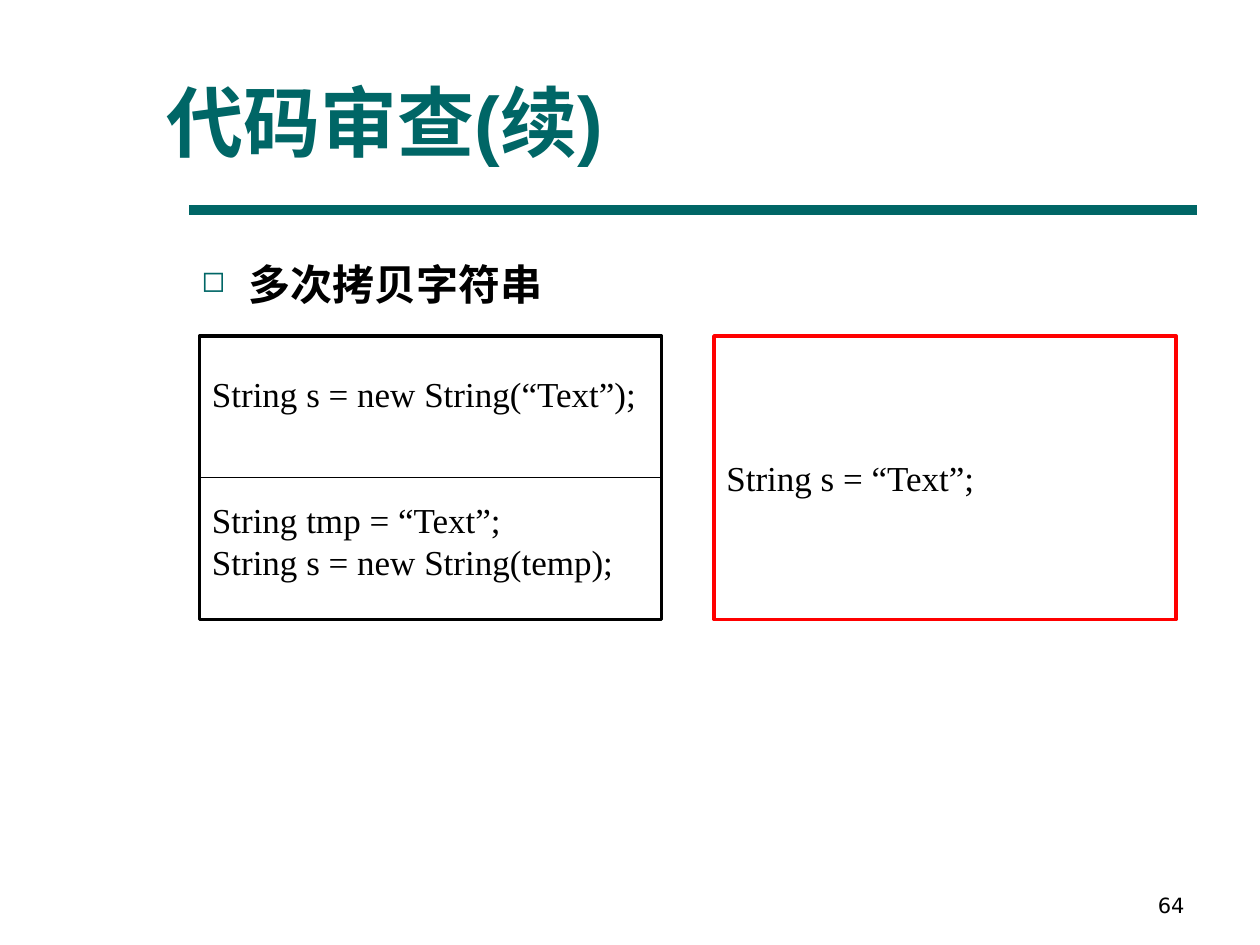
"""Build the code review slide on copying strings."""
from dataclasses import dataclass

from lxml import etree
from pptx import Presentation
from pptx.dml.color import RGBColor
from pptx.enum import shapes, text
from pptx.oxml import ns
from pptx.util import Pt

TEAL, BLACK, WHITE, RED = "006666", "000000", "FFFFFF", "FF0000"
CODE_TOP, CODE_WIDTH, CODE_HEIGHT = 192, 264, 162
CODE_PITCH = 24


@dataclass
class Label:
    left: float
    top: float
    width: float
    height: float
    words: str
    font: str
    size: float
    colour: str = BLACK
    bold: bool = False
    anchor: text.MSO_ANCHOR = text.MSO_ANCHOR.BOTTOM
    align: text.PP_ALIGN = text.PP_ALIGN.LEFT
    bullet: str = ""


@dataclass
class CodeBox:
    left: float
    border: str
    snippets: list[list[str]]


@dataclass
class Rule:
    left: float
    right: float
    y: float
    weight: float
    colour: str


def rgb(colour: str) -> RGBColor:
    return RGBColor.from_string(colour)


def style(para, font: str, size: float, colour: str, bold: bool = False) -> None:
    para.font.name = font
    para.font.size = Pt(size)
    para.font.bold = bold
    para.font.color.rgb = rgb(colour)


def add_bullet(para, symbol: str, colour: str) -> None:
    props = para._p.get_or_add_pPr()
    props.set("marL", str(Pt(27)))
    props.set("indent", str(Pt(-27)))
    tint = etree.SubElement(props, ns.qn("a:buClr"))
    etree.SubElement(tint, ns.qn("a:srgbClr"), val=colour)
    etree.SubElement(props, ns.qn("a:buSzPct"), val="70000")
    etree.SubElement(props, ns.qn("a:buChar"), char=symbol)


def add_label(page, label: Label) -> None:
    box = page.shapes.add_textbox(
        Pt(label.left), Pt(label.top), Pt(label.width), Pt(label.height))
    frame = box.text_frame
    frame.word_wrap = True
    frame.vertical_anchor = label.anchor
    para = frame.paragraphs[0]
    para.text = label.words
    para.alignment = label.align
    if label.bullet:
        add_bullet(para, label.bullet, TEAL)
    style(para, label.font, label.size, label.colour, label.bold)


def add_code_box(page, code: CodeBox) -> None:
    box = page.shapes.add_shape(
        shapes.MSO_SHAPE.RECTANGLE,
        Pt(code.left), Pt(CODE_TOP), Pt(CODE_WIDTH), Pt(CODE_HEIGHT))
    box.shadow.inherit = False
    box.fill.solid()
    box.fill.fore_color.rgb = rgb(WHITE)
    box.line.color.rgb = rgb(code.border)
    box.line.width = Pt(2)
    frame = box.text_frame
    frame.word_wrap = True
    frame.vertical_anchor = text.MSO_ANCHOR.MIDDLE
    para = None
    for snippet in code.snippets:
        for number, words in enumerate(snippet):
            starts_later_snippet = para is not None and number == 0
            para = frame.add_paragraph() if para is not None else frame.paragraphs[0]
            para.text = words
            para.alignment = text.PP_ALIGN.LEFT
            para.line_spacing = Pt(CODE_PITCH)
            if starts_later_snippet:
                para.space_before = Pt(2 * CODE_PITCH)
            style(para, "Times New Roman", 20, BLACK)


def add_rule(page, rule: Rule) -> None:
    line = page.shapes.add_connector(
        shapes.MSO_CONNECTOR.STRAIGHT,
        Pt(rule.left), Pt(rule.y), Pt(rule.right), Pt(rule.y))
    line.line.color.rgb = rgb(rule.colour)
    line.line.width = Pt(rule.weight)
    etree.SubElement(line._element.spPr, ns.qn("a:effectLst"))


def main() -> None:
    deck = Presentation()
    deck.slide_width, deck.slide_height = Pt(720), Pt(540)
    page = deck.slides.add_slide(deck.slide_layouts[6])

    add_rule(page, Rule(108, 684, 120, 6, TEAL))
    labels = [
        Label(516, 492, 168, 36, "64", "DejaVu Sans", 12,
              align=text.PP_ALIGN.RIGHT),
        Label(88, 9, 612, 90, "代码审查(续)", "Arial", 44, TEAL, bold=True),
        Label(108, 144, 576, 324, "多次拷贝字符串", "DejaVu Sans", 24, bold=True,
              anchor=text.MSO_ANCHOR.TOP, bullet="◻"),
    ]
    for label in labels:
        add_label(page, label)

    copying = CodeBox(114, BLACK, [
        ["String s = new String(“Text”);"],
        ["String tmp = “Text”;", "String s = new String(temp);"],
    ])
    direct = CodeBox(408, RED, [["String s = “Text”;"]])
    for code in (copying, direct):
        add_code_box(page, code)
    add_rule(page, Rule(copying.left, copying.left + CODE_WIDTH,
                        CODE_TOP + CODE_HEIGHT / 2, 0.75, BLACK))

    deck.save("out.pptx")


if __name__ == "__main__":
    main()
